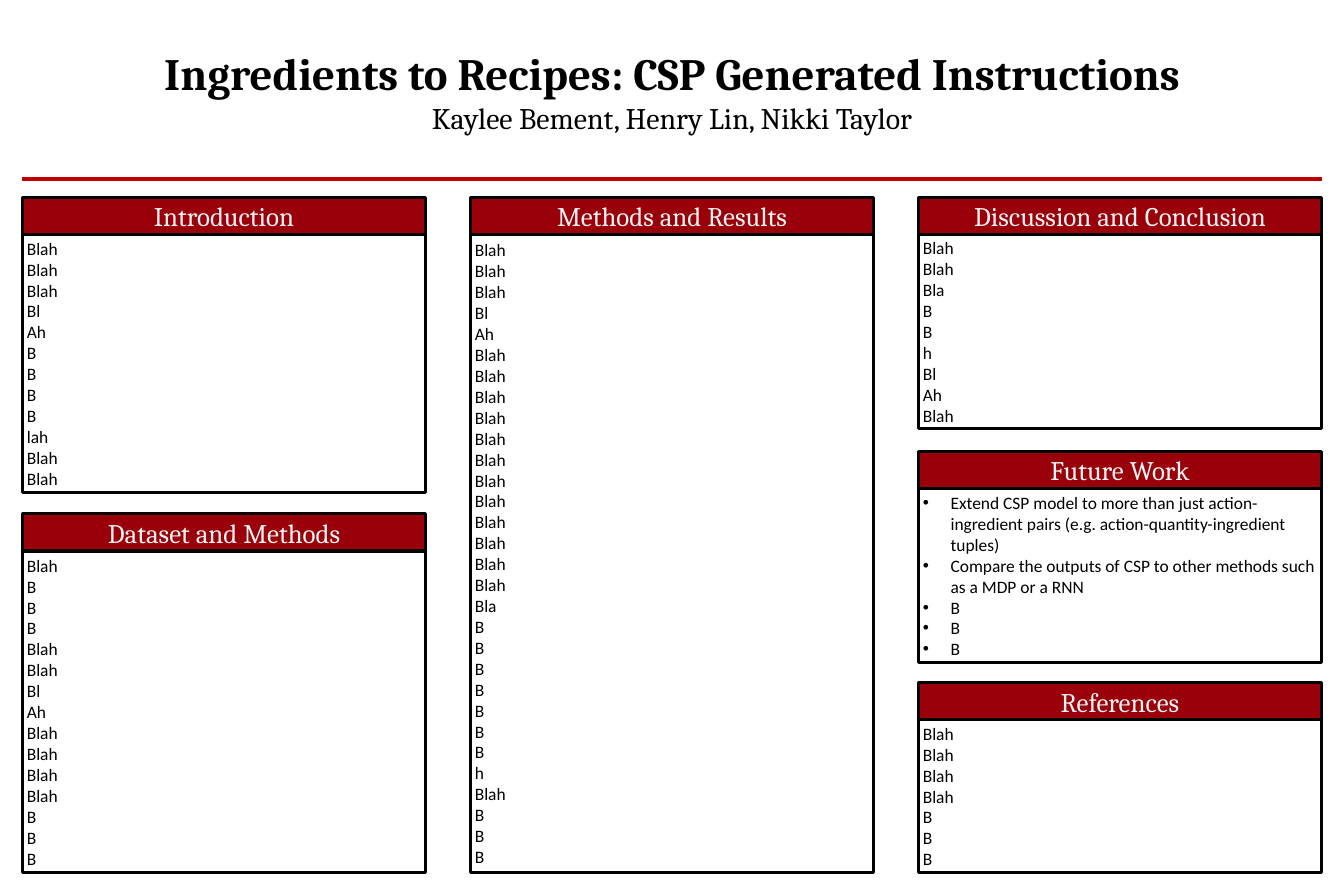
from pptx import Presentation
from pptx.dml.color import RGBColor
from pptx.enum.shapes import MSO_CONNECTOR, MSO_SHAPE
from pptx.enum.text import MSO_ANCHOR, MSO_AUTO_SIZE, PP_ALIGN
from pptx.oxml.ns import qn
from pptx.util import Inches, Pt
from lxml import etree

RECTANGLE = MSO_SHAPE.RECTANGLE
STRAIGHT = MSO_CONNECTOR.STRAIGHT
MIDDLE, TOP = MSO_ANCHOR.MIDDLE, MSO_ANCHOR.TOP
GROW = MSO_AUTO_SIZE.SHAPE_TO_FIT_TEXT
LEFT, CENTER = PP_ALIGN.LEFT, PP_ALIGN.CENTER

THEME = {
    "black": RGBColor.from_string("000000"),
    "banner": RGBColor.from_string("9A0009"),
    "rule": RGBColor.from_string("C00000"),
    "heading": RGBColor.from_string("F2F2F2"),
    "serif": "Cambria",
    "sans": "Calibri",
    "title size": 72,
    "authors size": 48,
    "heading size": 43.2,
    "body size": 28,
    "border": 5,
    "rule width": 5.75,
}

# Grid: three columns between equal margins
WIDTH, HEIGHT = 30, 20
MARGIN, COLUMN_WIDTH, GUTTER = 0.5, 9, 1
RULE_TOP, PANEL_TOP, PANEL_BOTTOM = 4, 4.4, 19.47
HEADING_HEIGHT = 0.83
BULLET_INDENT = 0.62

# Panels: column, top, bottom, heading, bulleted, lines
PANELS = [
    (0, PANEL_TOP, 10.99, "Introduction", False,
     ["Blah"] * 3 + ["Bl", "Ah"] + ["B"] * 4 + ["lah", "Blah", "Blah"]),
    (0, 11.47, PANEL_BOTTOM, "Dataset and Methods", False,
     ["Blah"] + ["B"] * 3 + ["Blah", "Blah", "Bl", "Ah"] + ["Blah"] * 4 + ["B"] * 3),
    (1, PANEL_TOP, PANEL_BOTTOM, "Methods and Results", False,
     ["Blah"] * 3 + ["Bl", "Ah"] + ["Blah"] * 12 + ["Bla"] + ["B"] * 7
     + ["h", "Blah"] + ["B"] * 3),
    (2, PANEL_TOP, 9.57, "Discussion and Conclusion", False,
     ["Blah", "Blah", "Bla", "B", "B", "h", "Bl", "Ah", "Blah"]),
    (2, 10.08, 14.79, "Future Work", True,
     ["Extend CSP model to more than just action-ingredient pairs "
      "(e.g. action-quantity-ingredient tuples)",
      "Compare the outputs of CSP to other methods such as a MDP or a RNN"]
     + ["B"] * 3),
    (2, 15.24, PANEL_BOTTOM, "References", False, ["Blah"] * 4 + ["B"] * 3),
]


def write(shape, lines, font_name, color, alignment, anchor, bulleted=False):
    """Write (text, size, bold) lines, one paragraph each."""
    frame = shape.text_frame
    frame.word_wrap = True
    frame.auto_size = GROW
    frame.vertical_anchor = anchor
    for index, (text, size, bold) in enumerate(lines):
        paragraph = frame.add_paragraph() if index else frame.paragraphs[0]
        paragraph.alignment = alignment
        if bulleted:
            properties = paragraph._p.get_or_add_pPr()
            properties.set("marL", str(Inches(BULLET_INDENT)))
            properties.set("indent", str(-Inches(BULLET_INDENT)))
            bullet_font = etree.SubElement(properties, qn("a:buFont"))
            bullet_font.set("typeface", "Arial")
            etree.SubElement(properties, qn("a:buChar")).set("char", "•")
        run = paragraph.add_run()
        run.text = text
        run.font.name = font_name
        run.font.size = Pt(size)
        run.font.bold = bold
        run.font.color.rgb = color


def add_box(slide, left, top, height, fill=None):
    """Add a bordered rectangle one column wide."""
    shape = slide.shapes.add_shape(
        RECTANGLE, Inches(left), Inches(top), Inches(COLUMN_WIDTH), Inches(height))
    shape.shadow.inherit = False
    if fill is None:
        shape.fill.background()
    else:
        shape.fill.solid()
        shape.fill.fore_color.rgb = fill
    shape.line.color.rgb = THEME["black"]
    shape.line.width = Pt(THEME["border"])
    return shape


presentation = Presentation()
presentation.slide_width = Inches(WIDTH)
presentation.slide_height = Inches(HEIGHT)
slide = presentation.slides.add_slide(presentation.slide_layouts[6])

# Title and authors
title = slide.shapes.add_textbox(
    Inches(WIDTH * 0.1), Inches(0.97), Inches(WIDTH * 0.8), Inches(2.12))
title.text_frame.margin_left = title.text_frame.margin_right = Inches(0.2)
write(title,
      [("Ingredients to Recipes: CSP Generated Instructions", THEME["title size"], True),
       ("Kaylee Bement, Henry Lin, Nikki Taylor", THEME["authors size"], False)],
      THEME["serif"], THEME["black"], CENTER, TOP)

# Rule under the title
rule = slide.shapes.add_connector(
    STRAIGHT, Inches(MARGIN), Inches(RULE_TOP), Inches(WIDTH - MARGIN), Inches(RULE_TOP))
rule.line.color.rgb = THEME["rule"]
rule.line.width = Pt(THEME["rule width"])
etree.SubElement(rule._element.spPr, qn("a:effectLst"))

# Panels: a heading bar with a body box below it
for column, top, bottom, heading, bulleted, lines in PANELS:
    left = MARGIN + column * (COLUMN_WIDTH + GUTTER)
    body_top = top + HEADING_HEIGHT
    bar = add_box(slide, left, top, HEADING_HEIGHT, THEME["banner"])
    write(bar, [(heading, THEME["heading size"], False)],
          THEME["serif"], THEME["heading"], CENTER, MIDDLE)
    body = add_box(slide, left, body_top, bottom - body_top)
    write(body, [(line, THEME["body size"], False) for line in lines],
          THEME["sans"], THEME["black"], LEFT, MIDDLE, bulleted)

presentation.save("out.pptx")
